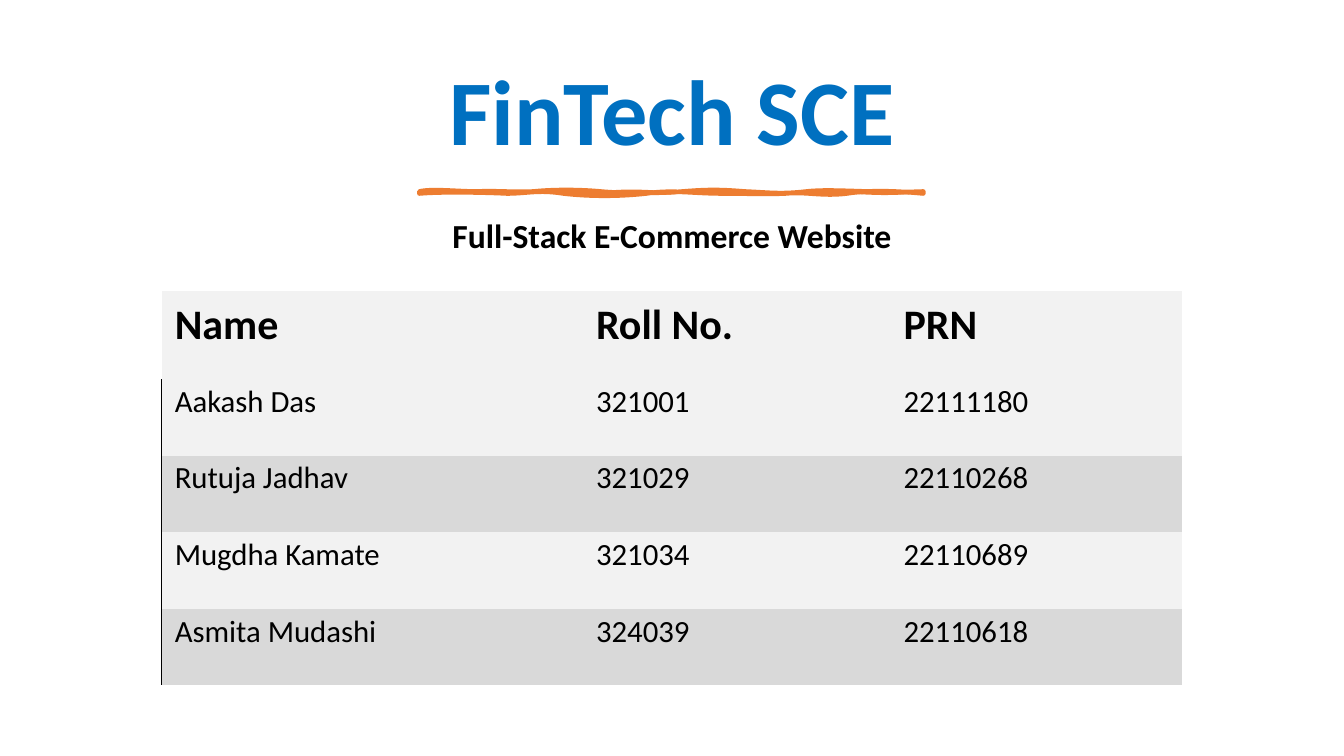
from lxml.etree import SubElement as Sub
from pptx import Presentation as Deck
from pptx.dml.color import RGBColor as RGB
from pptx.enum.text import MSO_ANCHOR as Anchor, PP_ALIGN as Align
from pptx.oxml.ns import qn
from pptx.util import Inches, Pt

WIDE, HIGH = Inches(13.33), Inches(7.5)
FONT = "Calibri"
HUES = {"title": "0070C0", "text": "000000", "wave": "ED7D31",
        "light": "F2F2F2", "dark": "D9D9D9"}
TEAM = [
    ("Name", "Roll No.", "PRN"),
    ("Aakash Das", "321001", "22111180"),
    ("Rutuja Jadhav", "321029", "22110268"),
    ("Mugdha Kamate", "321034", "22110689"),
    ("Asmita Mudashi", "324039", "22110618"),
]
COLS = (31.35, 22.88, 21.68)
ROWS = (11.73,) + (10.13,) * 4
RIM = [
    [(12, -3), (38, 0), (57, 0)], [(76, -1), (93, 1), (113, 0)],
    [(133, -2), (158, -2), (180, 0)], [(201, 2), (237, 2), (261, 0)],
    [(286, -2), (298, -2), (323, 0)], [(347, 1), (358, 3), (384, 0)],
    [(410, -3), (451, 2), (500, 0)], [(501, 1), (500, 1), (500, 2)],
    [(479, 0), (449, -2), (424, 2)], [(399, 5), (385, 0), (363, 2)],
    [(340, 3), (331, 2), (301, 2)], [(271, 2), (251, -2), (225, 2)],
    [(198, 5), (169, 5), (143, 2)], [(118, -2), (107, 2), (87, 2)],
    [(67, 1), (22, 0), (0, 2)], [(0, 1), (0, 0), (0, 0)],
]
CORE = [
    [(16, -1), (36, -2), (62, 0)], [(87, 1), (92, 2), (118, 0)],
    [(144, -2), (158, 2), (180, 0)], [(202, -3), (223, -2), (251, 0)],
    [(279, 1), (308, -3), (328, 0)], [(347, 2), (386, -2), (409, 0)],
    [(432, 1), (456, 3), (500, 0)], [(500, 0), (500, 1), (500, 2)],
    [(463, 4), (460, 4), (424, 2)], [(388, -1), (380, 1), (343, 2)],
    [(305, 2), (300, -2), (261, 2)], [(223, 6), (221, 0), (205, 2)],
    [(188, 3), (156, 3), (128, 2)], [(101, 0), (88, 1), (62, 2)],
    [(36, 2), (25, -1), (0, 2)], [(0, 1), (0, 0), (0, 0)],
]


def col(n):
    return round(WIDE * n / 100)


def row(n):
    return round(HIGH * n / 100)


def hue(name):
    return RGB.from_string(HUES[name])


def put(para, words, size, tint="text", bold=False):
    run = para.add_run()
    run.text = words
    font = run.font
    font.name, font.size, font.bold = FONT, Pt(size), bold
    font.color.rgb = hue(tint)


def label(slide, top, tall, words, size, tint, gap=0):
    box = slide.shapes.add_textbox(col(5.25), row(top), col(89.5), row(tall))
    frame = box.text_frame
    frame.word_wrap = True
    frame.vertical_anchor = Anchor.MIDDLE
    para = frame.paragraphs[0]
    para.alignment, para.line_spacing = Align.CENTER, 0.9
    para.space_before = Pt(gap)
    put(para, words, size, tint, True)


def spot(node, x, y):
    Sub(node, qn("a:pt"), x=str(x), y=str(y))


def trace(paths, curves, **look):
    route = Sub(paths, qn("a:path"), w="500", h="2", **look)
    spot(Sub(route, qn("a:moveTo")), 0, 0)
    for curve in curves:
        node = Sub(route, qn("a:cubicBezTo"))
        for x, y in curve:
            spot(node, x, y)
    Sub(route, qn("a:close"))


def wave(slide, left, top):
    pen = slide.shapes.build_freeform(scale=col(0.075))
    pen.add_line_segments([(500, 0), (500, 2), (0, 2)], close=True)
    shape = pen.convert_to_shape(col(left), row(top))
    shape.left, shape.top = col(left), row(top)
    paths = next(shape._element.iter(qn("a:pathLst")))
    paths.remove(paths[0])
    trace(paths, RIM, fill="none")
    trace(paths, CORE, stroke="0")
    shape.shadow.inherit = False
    shape.fill.solid()
    shape.fill.fore_color.rgb = hue("wave")
    shape.line.color.rgb = hue("wave")
    shape.line.width = Pt(3.25)


def edge(cell, ruled):
    props = cell._tc.get_or_add_tcPr()
    for side in "LRTB":
        line = Sub(props, qn(f"a:ln{side}"))
        if side == "L" and ruled:
            line.set("w", str(Pt(1)))
            fill = Sub(line, qn("a:solidFill"))
            Sub(fill, qn("a:srgbClr")).set("val", HUES["text"])
        else:
            Sub(line, qn("a:noFill"))


def fill_in(cell, words, head, shade, ruled):
    edge(cell, ruled)
    cell.fill.solid()
    cell.fill.fore_color.rgb = hue(shade)
    cell.margin_left, cell.margin_top = Inches(0.13), Inches(0.04)
    cell.margin_right, cell.margin_bottom = Inches(0.19), Inches(0.28)
    cell.vertical_anchor = Anchor.BOTTOM if head else Anchor.TOP
    put(cell.text_frame.paragraphs[0], words, 30 if head else 22, bold=head)


def grid(slide, left, top):
    table = slide.shapes.add_table(
        len(ROWS), len(COLS), col(left), row(top),
        col(sum(COLS)), row(sum(ROWS))).table
    table.first_row = table.horz_banding = False
    for part, wide in zip(table.columns, COLS):
        part.width = col(wide)
    for r, (tall, line) in enumerate(zip(ROWS, TEAM)):
        table.rows[r].height = row(tall)
        shade = "dark" if r and r % 2 == 0 else "light"
        for c, words in enumerate(line):
            fill_in(table.cell(r, c), words, r == 0, shade, r > 0 and c == 0)


def main():
    deck = Deck()
    deck.slide_width, deck.slide_height = WIDE, HIGH
    slide = deck.slides.add_slide(deck.slide_layouts[6])
    label(slide, 6.09, 18.27, "FinTech SCE", 66, "title")
    label(slide, 26.4, 10, "Full-Stack E-Commerce Website", 24, "text", 10)
    wave(slide, 31.2, 25.33)
    grid(slide, 12.03, 38.43)
    deck.save("out.pptx")


if __name__ == "__main__":
    main()
